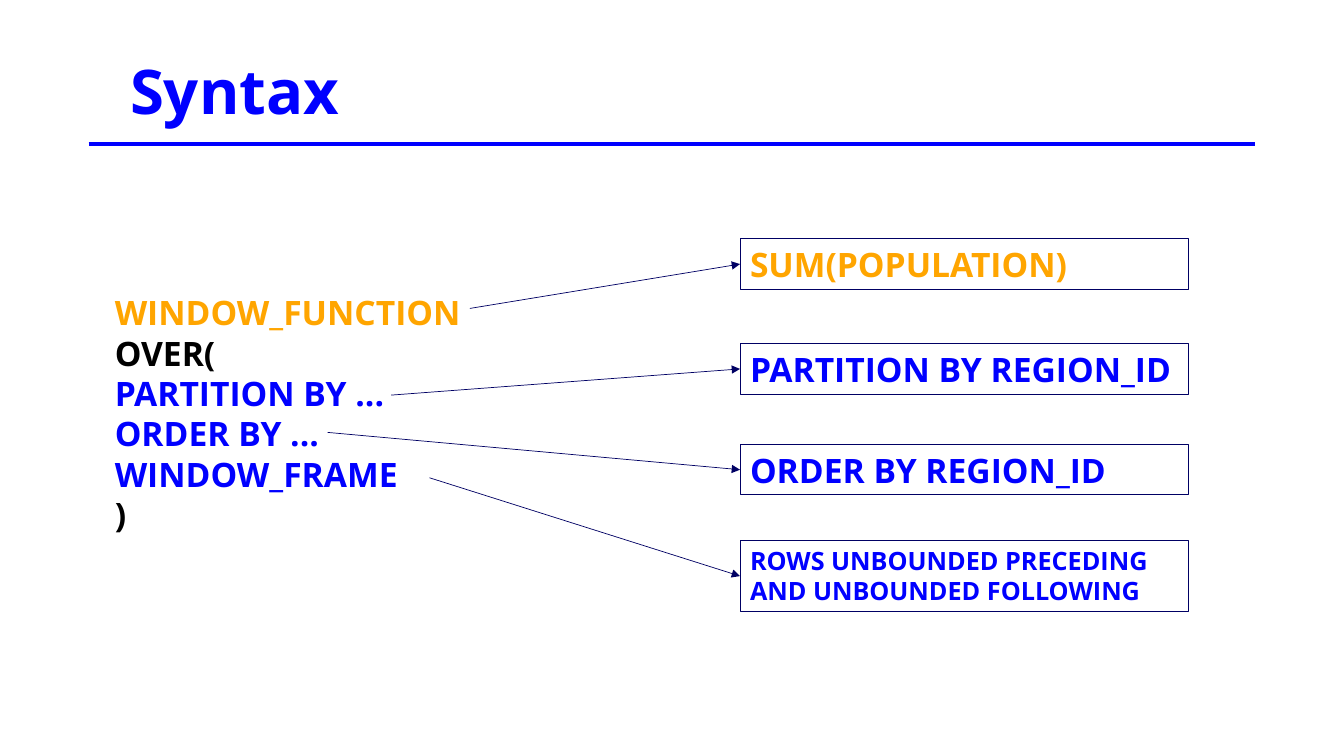
"""Build the window function syntax slide."""
from dataclasses import dataclass
from lxml.etree import SubElement
from pptx import Presentation
from pptx.dml.color import RGBColor
from pptx.enum.shapes import MSO_CONNECTOR, MSO_SHAPE
from pptx.enum.text import MSO_ANCHOR, MSO_AUTO_SIZE, PP_ALIGN
from pptx.oxml.ns import qn
from pptx.util import Inches, Pt


@dataclass(frozen=True)
class Theme:
    font: str = "Open Sans"
    blue: str = "0000FF"
    gold: str = "FFA500"
    black: str = "000000"
    navy: str = "000064"
    white: str = "FFFFFF"
    head: int = 44
    code: int = 24
    small: int = 18


T = Theme()
TITLE = "Syntax"
CODE = [
    ("WINDOW_FUNCTION", T.gold),
    ("OVER(", T.black),
    ("PARTITION BY ...", T.blue),
    ("ORDER BY ...", T.blue),
    ("WINDOW_FRAME", T.blue),
    (")", T.black),
]
NOTES = [
    ("PARTITION BY REGION_ID", T.blue, T.code, 3.41, 0.5, (3.88, 3.92)),
    ("SUM(POPULATION)", T.gold, T.code, 2.37, 0.5, (4.66, 3.06)),
    ("ORDER BY REGION_ID", T.blue, T.code, 4.41, 0.5, (3.25, 4.29)),
    ("ROWS UNBOUNDED PRECEDING AND UNBOUNDED FOLLOWING",
     T.blue, T.small, 5.36, 0.71, (4.26, 4.74)),
]
LEFT, WIDTH = 7.34, 4.45


def rgb(color):
    return RGBColor.from_string(color)


def box(*sides):
    return [Inches(side) for side in sides]


def write(shape, lines, size, anchor, fit):
    frame = shape.text_frame
    frame.text = "\n".join(text for text, color in lines)
    frame.word_wrap = True
    frame.auto_size = fit
    frame.vertical_anchor = anchor
    for para, (text, color) in zip(frame.paragraphs, lines):
        para.alignment = PP_ALIGN.LEFT
        font = para.font
        font.name, font.size, font.bold = T.font, Pt(size), True
        font.color.rgb = rgb(color)


def draw(shapes, start, end, color, width, arrow=False):
    line = shapes.add_connector(MSO_CONNECTOR.STRAIGHT, *box(*start, *end))
    line.line.color.rgb = rgb(color)
    line.line.width = Pt(width)
    if arrow:
        SubElement(line.line._get_or_add_ln(), qn("a:tailEnd"), type="triangle")
    SubElement(line._element.spPr, qn("a:effectLst"))


deck = Presentation()
deck.slide_width, deck.slide_height = box(13.33, 7.5)
slide = deck.slides.add_slide(deck.slide_layouts[5])
shapes = slide.shapes

title = shapes.title
title.left, title.top, title.width, title.height = box(1.19, 0.51, 10.89, 0.77)
title.fill.solid()
title.fill.fore_color.rgb = rgb(T.white)
write(title, [(TITLE, T.blue)], T.head, MSO_ANCHOR.MIDDLE, MSO_AUTO_SIZE.NONE)
draw(shapes, (0.88, 1.43), (12.45, 1.43), T.blue, 3)

code = shapes.add_textbox(*box(1.04, 2.85, 4.23, 2.52))
write(code, CODE, T.code, MSO_ANCHOR.TOP, MSO_AUTO_SIZE.SHAPE_TO_FIT_TEXT)

for text, color, size, top, height, start in NOTES:
    group = shapes.add_group_shape().shapes
    note = group.add_shape(MSO_SHAPE.RECTANGLE, *box(LEFT, top, WIDTH, height))
    note.shadow.inherit = False
    note.fill.background()
    note.line.color.rgb = rgb(T.navy)
    note.line.width = Pt(0.75)
    write(note, [(text, color)], size, MSO_ANCHOR.TOP,
          MSO_AUTO_SIZE.SHAPE_TO_FIT_TEXT)
    draw(group, start, (LEFT, top + height / 2), T.navy, 0.5, arrow=True)

deck.save("out.pptx")
